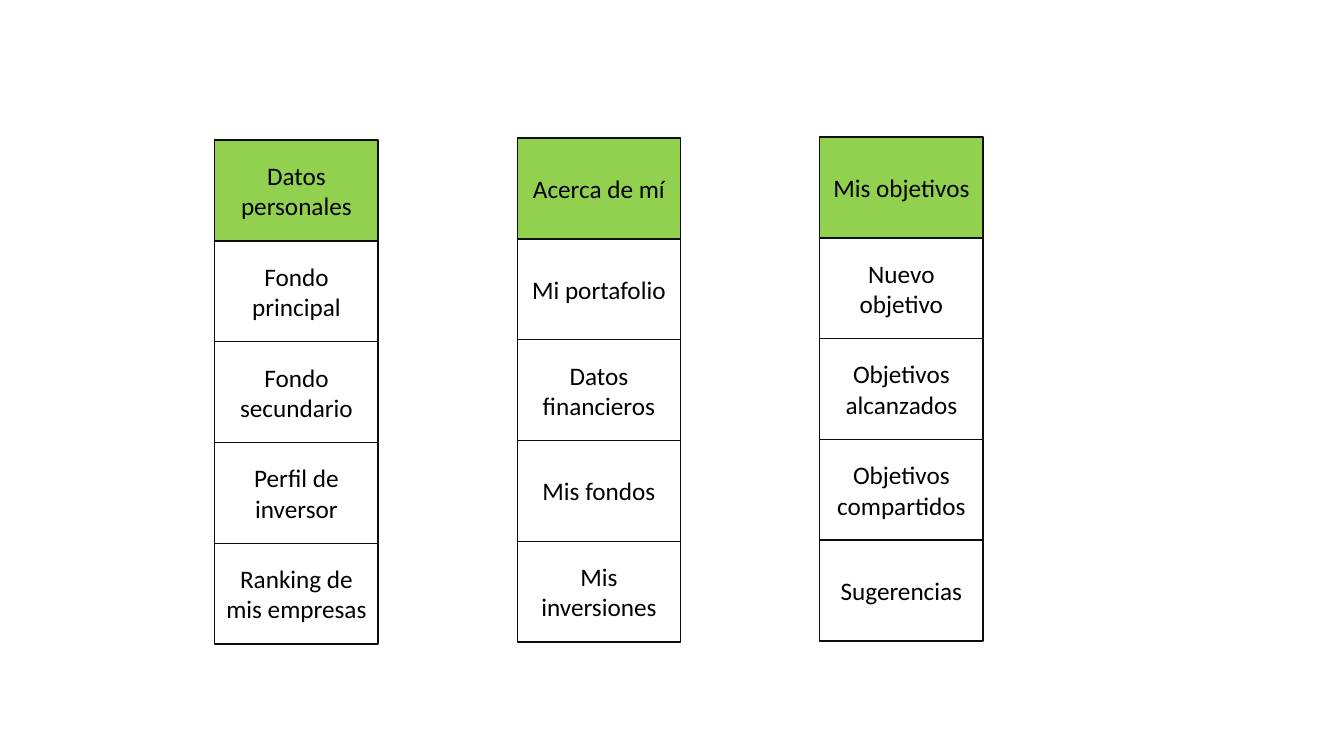
from pptx import Presentation
from pptx.dml.color import RGBColor
from pptx.enum.shapes import MSO_SHAPE
from pptx.enum.text import MSO_ANCHOR, PP_ALIGN
from pptx.util import Inches, Pt

RECTANGLE = MSO_SHAPE.RECTANGLE
MIDDLE = MSO_ANCHOR.MIDDLE
CENTER = PP_ALIGN.CENTER

GREEN = RGBColor(0x92, 0xD0, 0x50)
OUTLINE = RGBColor(0x0D, 0x0D, 0x0D)
BLACK = RGBColor(0, 0, 0)

# Grid, in inches
FIRST_LEFT, COLUMN_PITCH = 2.13, 3
BOX_WIDTH, BOX_HEIGHT = 1.62, 1

# Top of each menu, its heading and its options
MENUS = [
    (1.39, "Datos personales",
     ["Fondo principal", "Fondo secundario", "Perfil de inversor",
      "Ranking de mis empresas"]),
    (1.37, "Acerca de mí",
     ["Mi portafolio", "Datos financieros", "Mis fondos", "Mis inversiones"]),
    (1.36, "Mis objetivos",
     ["Nuevo objetivo", "Objetivos alcanzados", "Objetivos compartidos",
      "Sugerencias"]),
]


def add_box(slide, left, top, label, fill=None):
    box = slide.shapes.add_shape(RECTANGLE, Inches(left), Inches(top),
                                 Inches(BOX_WIDTH), Inches(BOX_HEIGHT))
    box.shadow.inherit = False
    if fill is None:
        box.fill.background()
    else:
        box.fill.solid()
        box.fill.fore_color.rgb = fill
    box.line.color.rgb = OUTLINE
    box.line.width = Pt(1)

    frame = box.text_frame
    frame.word_wrap = True
    frame.vertical_anchor = MIDDLE
    paragraph = frame.paragraphs[0]
    paragraph.text = label
    paragraph.alignment = CENTER
    paragraph.font.name = "Calibri"
    paragraph.font.size = Pt(18)
    paragraph.font.color.rgb = BLACK


def add_menu(slide, left, top, heading, options):
    add_box(slide, left, top, heading, GREEN)
    for row, option in enumerate(options, start=1):
        add_box(slide, left, top + row * BOX_HEIGHT, option)


def main():
    prs = Presentation()
    prs.slide_width = Inches(13.33)
    prs.slide_height = Inches(7.5)
    slide = prs.slides.add_slide(prs.slide_layouts[6])

    # One menu per column
    for column, (top, heading, options) in enumerate(MENUS):
        add_menu(slide, FIRST_LEFT + column * COLUMN_PITCH, top, heading, options)

    prs.save("out.pptx")


main()
